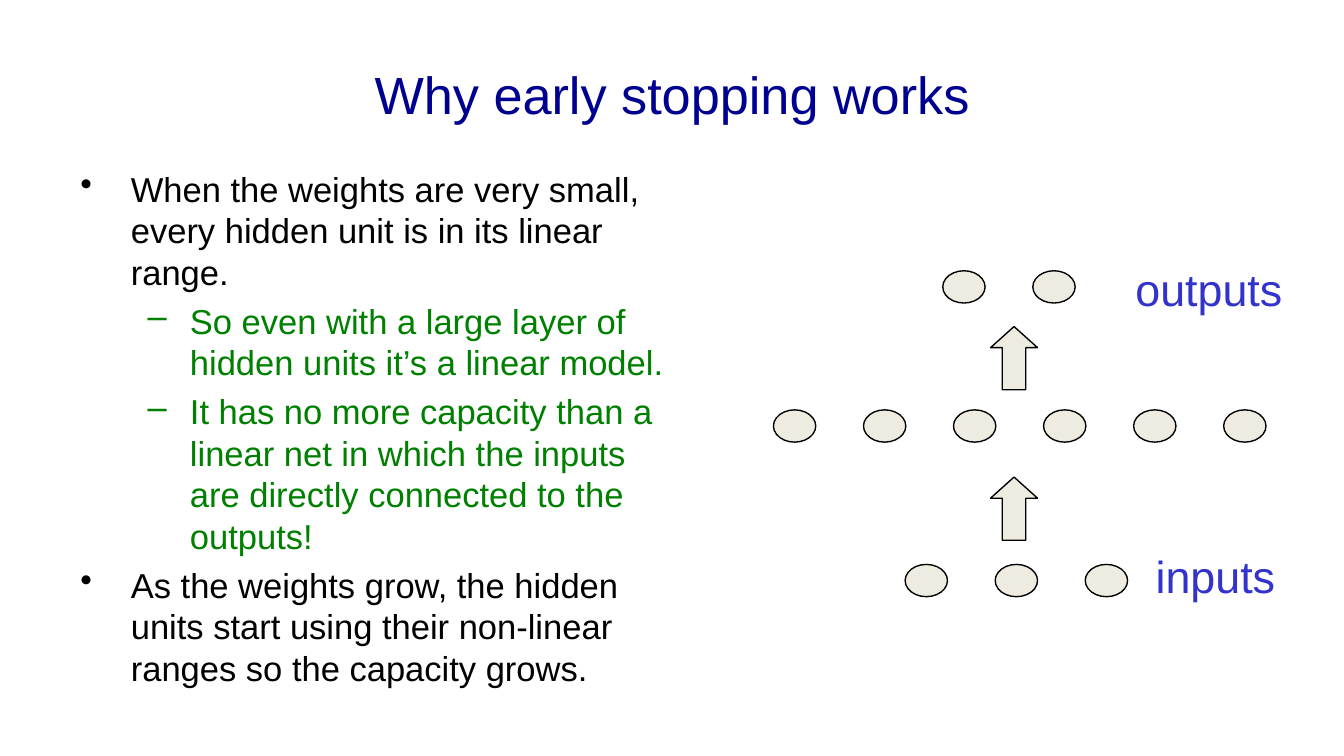
"""Build a slide on why early stopping works, with a layered network diagram."""
import dataclasses

import lxml.etree
import pptx
import pptx.dml.color
import pptx.enum.shapes
import pptx.enum.text
import pptx.oxml.ns
import pptx.util

EMU_PER_PX = 4572
FONT = "Arial"
NODE_WIDTH, NODE_HEIGHT, NODE_PITCH = 63, 48, 134
SHAPES = pptx.enum.shapes.MSO_SHAPE
ANCHORS = pptx.enum.text.MSO_ANCHOR
ALIGNS = pptx.enum.text.PP_ALIGN


@dataclasses.dataclass
class Area:
    left: int
    top: int
    width: int
    height: int


@dataclasses.dataclass
class Layer:
    left: int
    top: int
    count: int


@dataclasses.dataclass
class Level:
    bullet: str
    margin: int
    hanging: int
    color: str


@dataclasses.dataclass
class Label:
    text: str
    area: Area
    size: float
    color: str
    anchor: ANCHORS = ANCHORS.TOP
    align: ALIGNS = ALIGNS.LEFT
    wrap: bool = True


MAIN = Level("•", 75, 75, "000000")
DETAIL = Level("–", 163, 63, "008000")
POINTS = [
    (MAIN, "When the weights are very small, every hidden unit is in its linear range."),
    (DETAIL, "So even with a large layer of hidden units it’s a linear model."),
    (DETAIL, "It has no more capacity than a linear net in which the inputs are "
             "directly connected to the outputs!"),
    (MAIN, "As the weights grow, the hidden units start using their non-linear "
           "ranges so the capacity grows."),
]
LAYERS = [Layer(1403, 403, 2), Layer(1151, 610, 6), Layer(1347, 840, 3)]
ARROWS = [Area(1474, 486, 70, 94), Area(1474, 710, 70, 94)]
LABELS = [
    Label("Why early stopping works", Area(100, 46, 1800, 188), 28, "000090",
          ANCHORS.MIDDLE, ALIGNS.CENTER),
    Label("outputs", Area(1670, 380, 300, 100), 24, "3333CC", wrap=False),
    Label("inputs", Area(1700, 807, 316, 100), 24, "3333CC", wrap=False),
]


def px(length: int) -> pptx.util.Emu:
    """Turn px into EMU."""
    return pptx.util.Emu(length * EMU_PER_PX)


def rgb(value: str) -> pptx.dml.color.RGBColor:
    """Turn a hex string into a colour."""
    return pptx.dml.color.RGBColor.from_string(value)


def apply(target, values: dict) -> None:
    """Set each named attribute on the target."""
    for name, value in values.items():
        setattr(target, name, value)


def place(area: Area) -> list[pptx.util.Emu]:
    """Give the position and size of an area in EMU."""
    return [px(length) for length in dataclasses.astuple(area)]


def style_font(font, size: float, color: str) -> None:
    """Set the font, size and colour of text."""
    apply(font, {"name": FONT, "size": pptx.util.Pt(size)})
    font.color.rgb = rgb(color)


def add_label(page, label: Label) -> None:
    """Draw one single-paragraph text box."""
    box = page.shapes.add_textbox(*place(label.area))
    apply(box.text_frame, {"word_wrap": label.wrap, "vertical_anchor": label.anchor})
    para = box.text_frame.paragraphs[0]
    apply(para, {"text": label.text, "alignment": label.align})
    style_font(para.font, label.size, label.color)


def add_points(page, area: Area) -> None:
    """Draw the bulleted text."""
    frame = page.shapes.add_textbox(*place(area)).text_frame
    frame.word_wrap = True
    for index, (level, text) in enumerate(POINTS):
        para = frame.add_paragraph() if index else frame.paragraphs[0]
        apply(para, {"text": text, "level": int(level is DETAIL),
                     "space_before": pptx.util.Pt(4 if index else 0)})
        properties = para._p.get_or_add_pPr()
        properties.set("marL", str(px(level.margin)))
        properties.set("indent", str(-px(level.hanging)))
        bullet = lxml.etree.SubElement(properties, pptx.oxml.ns.qn("a:buChar"))
        bullet.set("char", level.bullet)
        style_font(para.font, 18.5, level.color)


def add_figure(page, kind: SHAPES, area: Area):
    """Draw one outlined shape of the network."""
    shape = page.shapes.add_shape(kind, *place(area))
    shape.shadow.inherit = False
    shape.fill.solid()
    shape.fill.fore_color.rgb = rgb("EEECE1")
    shape.line.color.rgb = rgb("000000")
    shape.line.width = pptx.util.Pt(0.75)
    return shape


def add_layer(page, layer: Layer) -> None:
    """Draw one evenly spaced row of units."""
    for index in range(layer.count):
        left = layer.left + index * NODE_PITCH
        add_figure(page, SHAPES.OVAL, Area(left, layer.top, NODE_WIDTH, NODE_HEIGHT))


def main() -> None:
    """Build and save the deck."""
    deck = pptx.Presentation()
    apply(deck, {"slide_width": px(2000), "slide_height": px(1125)})
    page = deck.slides.add_slide(deck.slide_layouts[6])
    add_points(page, Area(100, 240, 922, 742))
    for layer in LAYERS:
        add_layer(page, layer)
    for area in ARROWS:
        arrow = add_figure(page, SHAPES.UP_ARROW, area)
        arrow.adjustments[0], arrow.adjustments[1] = 0.5, 0.45
    for label in LABELS:
        add_label(page, label)
    deck.save("out.pptx")


if __name__ == "__main__":
    main()
